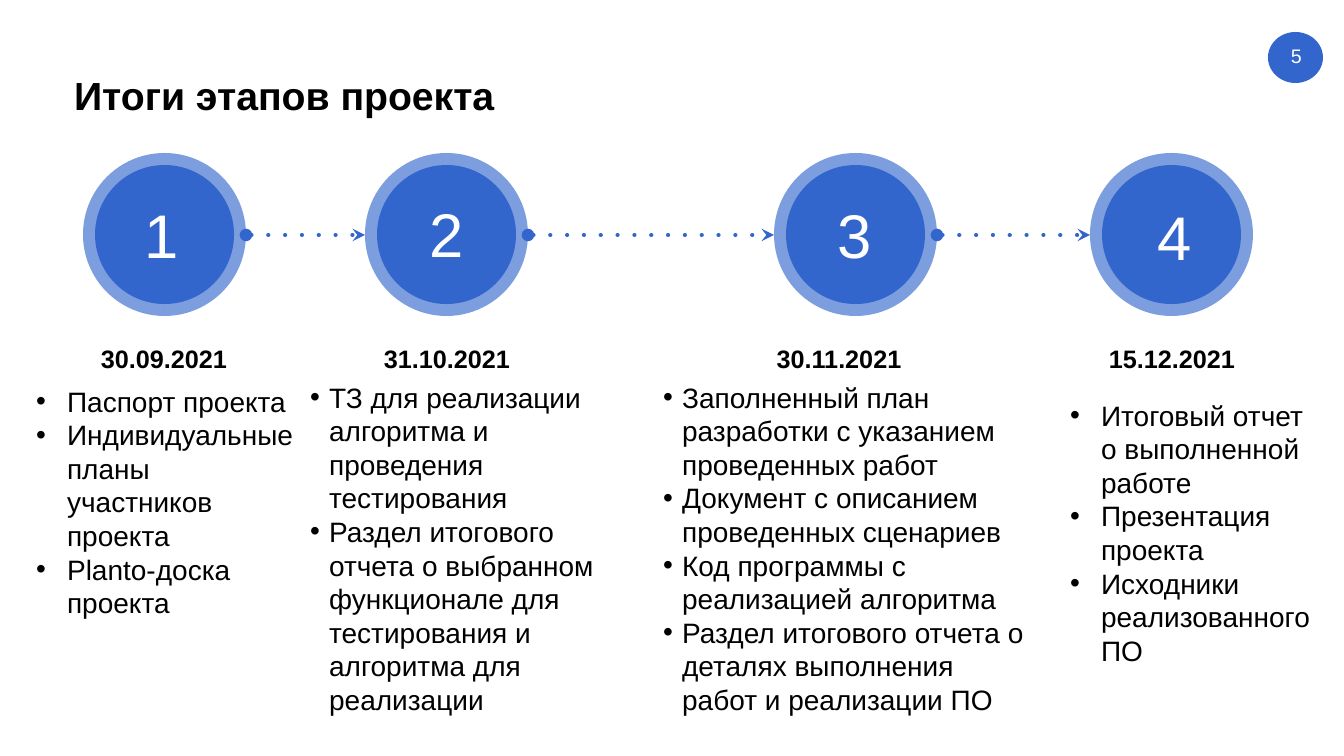
import pptx
import pptx.util
import pptx.dml.color
import pptx.enum.shapes
import pptx.enum.text
import pptx.oxml.ns
import lxml.etree

SCALE = 914400 / 100.8
HUES = {"blue": "3366CC", "black": "000000", "white": "FFFFFF"}
ALIGN = pptx.enum.text.PP_ALIGN
ANCHOR = pptx.enum.text.MSO_ANCHOR
qn = pptx.oxml.ns.qn


def px(*nums):
    return [pptx.util.Emu(round(n * SCALE)) for n in nums]


def write(box, lines, size, hue="black", bold=False, align=ALIGN.LEFT,
          anchor=ANCHOR.TOP, wrap=True, lead=None, dent=0):
    frame = box.text_frame
    frame.word_wrap = wrap
    frame.auto_size = pptx.enum.text.MSO_AUTO_SIZE.NONE
    frame.vertical_anchor = anchor
    for i, line in enumerate(lines):
        para = frame.paragraphs[0] if i == 0 else frame.add_paragraph()
        para.alignment = align
        para.space_before = pptx.util.Pt(0)
        if lead:
            para.line_spacing = lead
        if dent:
            props = para._p.get_or_add_pPr()
            step = px(dent)[0]
            props.set("marL", str(step))
            props.set("indent", str(-step))
            lxml.etree.SubElement(props, qn("a:buFont"), typeface="Arial")
            lxml.etree.SubElement(props, qn("a:buChar"), char="•")
        run = para.add_run()
        run.text = line
        run.font.name = "Arial"
        run.font.size = pptx.util.Pt(size)
        run.font.bold = bold
        run.font.color.rgb = pptx.dml.color.RGBColor.from_string(HUES[hue])


deck = pptx.Presentation()
deck.slide_width, deck.slide_height = px(1344, 756)
slide = deck.slides.add_slide(deck.slide_layouts[4])
shapes = slide.shapes
blue = pptx.dml.color.RGBColor.from_string(HUES["blue"])

title = shapes.title
title.left, title.top, title.width, title.height = px(64, 64, 1212, 67)
write(title, ["Итоги этапов проекта"], 28, bold=True, anchor=ANCHOR.MIDDLE, lead=0.9)

stages = [
    {"date": "30.09.2021", "ring": 83, "day": 52, "num": (135, 192),
     "list": (26, 379, 283, 248), "dent": 31,
     "items": ["Паспорт проекта",
               "Индивидуальные планы участников проекта",
               "Planto-доска проекта"]},
    {"date": "31.10.2021", "ring": 365, "day": 335, "num": (420, 191),
     "list": (300, 375, 319, 350), "dent": 19,
     "items": ["ТЗ для реализации алгоритма и проведения тестирования",
               "Раздел итогового отчета о выбранном функционале для "
               "тестирования и алгоритма для реализации"]},
    {"date": "30.11.2021", "ring": 774, "day": 727, "num": (828, 192),
     "list": (653, 375, 393, 350), "dent": 19,
     "items": ["Заполненный план разработки с указанием проведенных работ",
               "Документ с описанием проведенных сценариев",
               "Код программы с реализацией алгоритма",
               "Раздел итогового отчета о деталях выполнения работ и реализации ПО"]},
    {"date": "15.12.2021", "ring": 1090, "day": 1060, "num": (1148, 194),
     "list": (1060, 393, 262, 281), "dent": 31,
     "items": ["Итоговый отчет о выполненной работе",
               "Презентация проекта",
               "Исходники реализованного ПО"]},
]

TOP, WIDE, RIM = 153, 163, 12
discs = [(1268, 32, 55, 51, None)]
for stage in stages:
    left = stage["ring"]
    core = WIDE - 2 * RIM
    discs.append((left + RIM, TOP + RIM, core, core, None))
    discs.append((left, TOP, WIDE, WIDE, 64000))

for *area, alpha in discs:
    disc = shapes.add_shape(pptx.enum.shapes.MSO_SHAPE.OVAL, *px(*area))
    disc.shadow.inherit = False
    disc.fill.solid()
    disc.fill.fore_color.rgb = blue
    disc.line.fill.background()
    if alpha:
        tint = disc._element.spPr.find(qn("a:solidFill"))[0]
        lxml.etree.SubElement(tint, qn("a:alpha"), val=str(alpha))

mid = TOP + WIDE // 2 + 1
for one, two in zip(stages, stages[1:]):
    link = shapes.add_connector(pptx.enum.shapes.MSO_CONNECTOR.STRAIGHT,
                                *px(one["ring"] + WIDE, mid, two["ring"], mid))
    link.line.color.rgb = blue
    link.line.width = pptx.util.Pt(3)
    props = link._element.spPr
    line = props.find(qn("a:ln"))
    line.set("cap", "rnd")
    lxml.etree.SubElement(line, qn("a:prstDash"), val="dot")
    lxml.etree.SubElement(line, qn("a:headEnd"), type="oval")
    lxml.etree.SubElement(line, qn("a:tailEnd"), type="stealth")
    lxml.etree.SubElement(props, qn("a:effectLst"))

bodies = [p for p in slide.placeholders if p.placeholder_format.idx > 0]
for num, (stage, body) in enumerate(zip(stages, bodies), 1):
    day = shapes.add_textbox(*px(stage["day"], 338, 224, 40))
    write(day, [stage["date"]], 18, bold=True, align=ALIGN.CENTER)
    body.left, body.top, body.width, body.height = px(*stage["list"])
    write(body, stage["items"], 20, lead=1.0, dent=stage["dent"])
    label = shapes.add_textbox(*px(*stage["num"], 60, 85))
    write(label, [str(num)], 44, hue="white", wrap=False)

page = shapes.add_textbox(*px(1281, 39, 41, 34))
write(page, ["5"], 14, hue="white", wrap=False)

deck.save("out.pptx")
